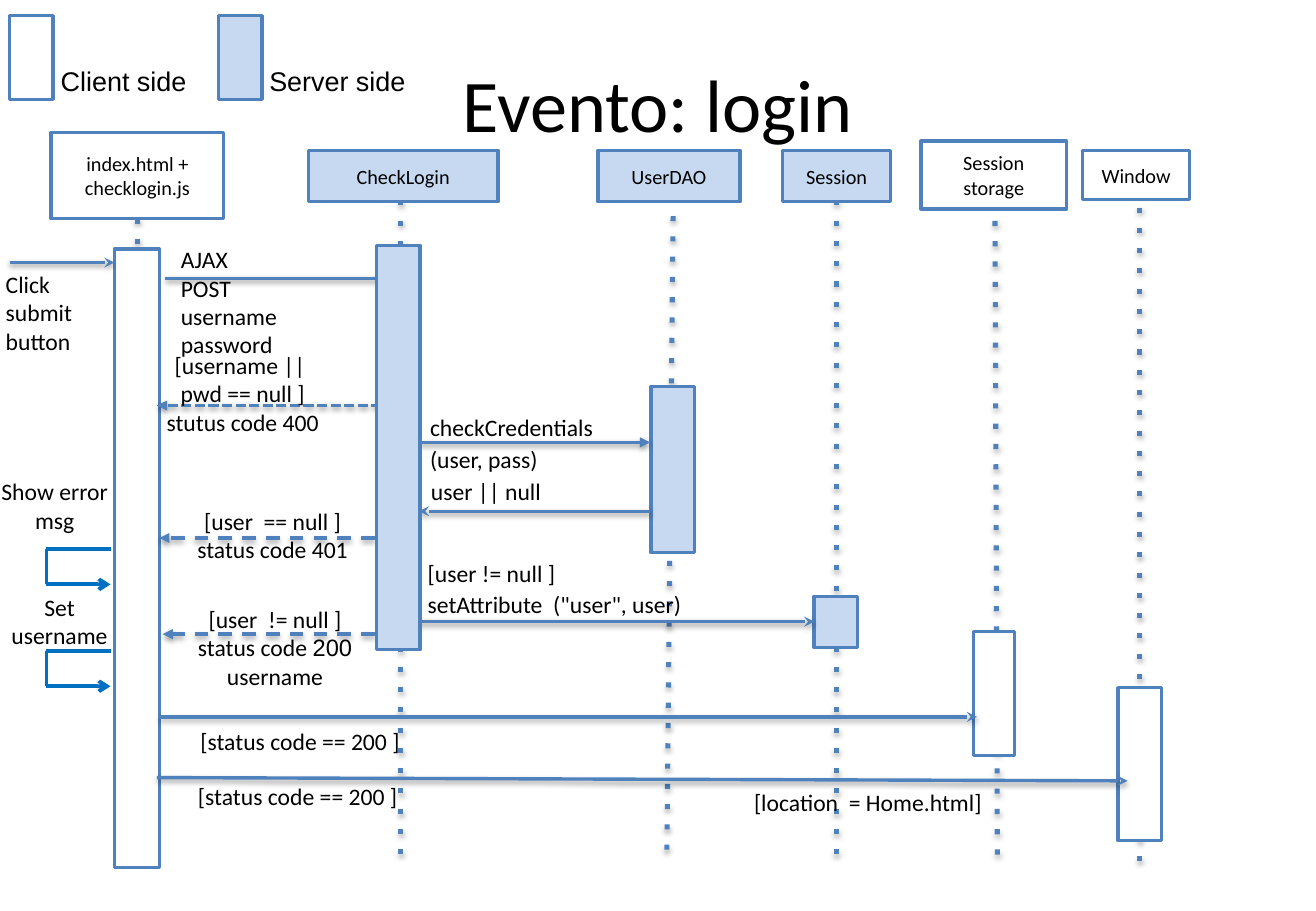
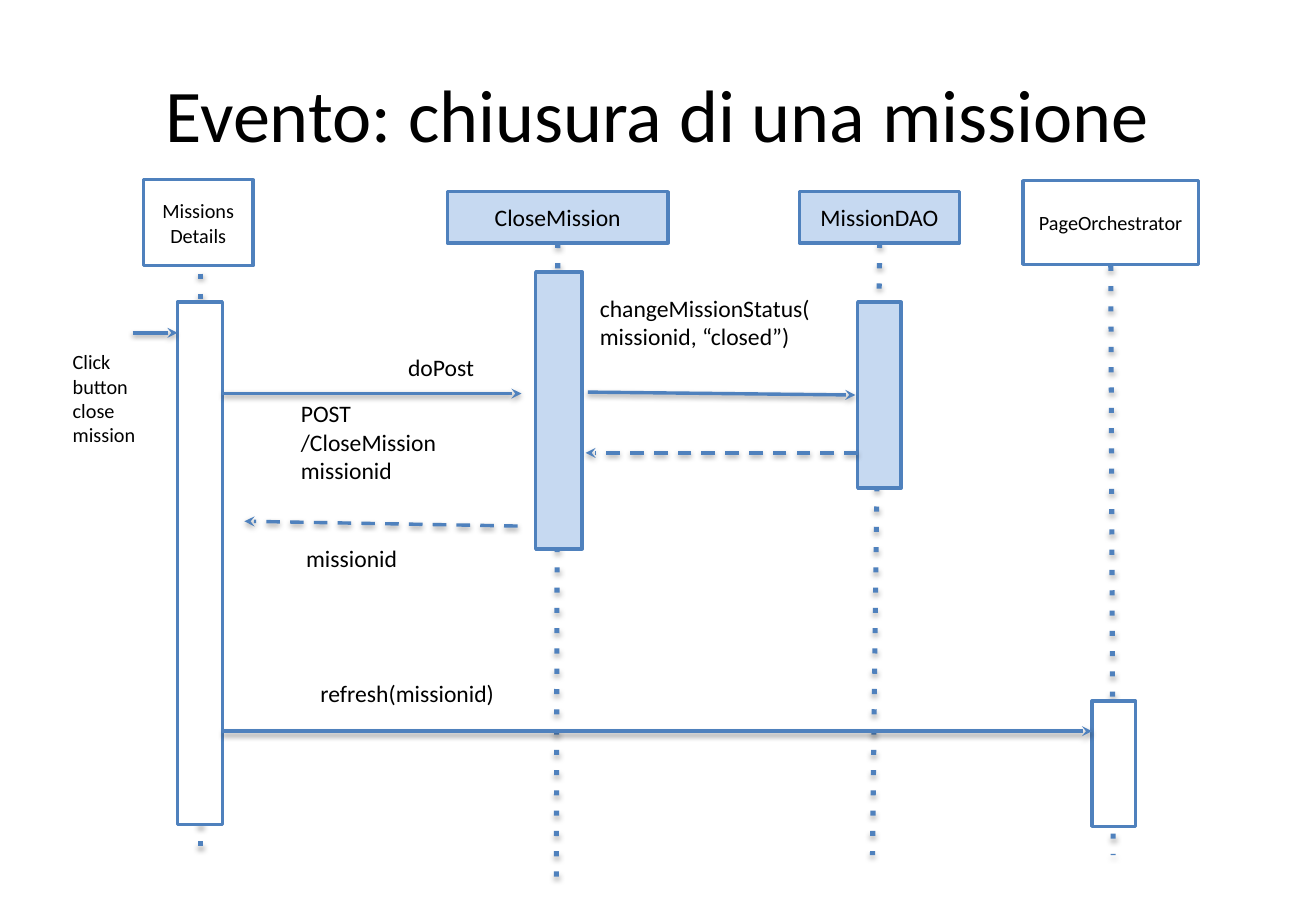
from pptx import Presentation
from pptx import util as u
from pptx.dml.color import RGBColor
from pptx.enum import shapes, text
from pptx.oxml import parse_xml
from pptx.oxml.ns import nsdecls

COLORS = {"line": "4F81BD", "loop": "0070C0", "server": "C6D9F1",
          "client": "FFFFFF", "text": "000000"}
LEFT, CENTER = text.PP_ALIGN.LEFT, text.PP_ALIGN.CENTER


def write_text(frame, paragraphs, size, align=LEFT, font="Calibri", space=0,
               anchor=text.MSO_ANCHOR.TOP, wrap=True):
    """Fill a frame; a paragraph is a string or a list of (text, font) runs."""
    frame.word_wrap = wrap
    frame.vertical_anchor = anchor
    if wrap:
        frame.auto_size = text.MSO_AUTO_SIZE.NONE
        frame.margin_left = frame.margin_right = u.Cm(0.3)
        frame.margin_top = frame.margin_bottom = u.Cm(0.15)
    else:
        frame.auto_size = text.MSO_AUTO_SIZE.SHAPE_TO_FIT_TEXT
    for index, runs in enumerate(paragraphs):
        paragraph = frame.add_paragraph() if index else frame.paragraphs[0]
        paragraph.alignment = align
        paragraph.space_before, paragraph.space_after = u.Pt(0), u.Pt(space)
        for content, run_font in [(runs, font)] if isinstance(runs, str) else runs:
            for part, line in enumerate(content.split("\n")):
                if part:
                    paragraph.add_line_break()
                run = paragraph.add_run()
                run.text = line
                run.font.name, run.font.size = run_font, u.Pt(size)
                run.font.color.rgb = RGBColor.from_string(COLORS["text"])


def add_line(slide, ends, dash="solid", tip=None, color="line", width=2, shadow=None):
    """Draw a straight line; shadow is (distance in EMU, opacity in percent)."""
    connector = slide.shapes.add_connector(
        shapes.MSO_CONNECTOR.STRAIGHT, *[u.Cm(value) for value in ends])
    connector.line.color.rgb = RGBColor.from_string(COLORS[color])
    connector.line.width = u.Pt(width)
    outline = connector.line._get_or_add_ln()
    outline.append(parse_xml(f'<a:prstDash {nsdecls("a")} val="{dash}"/>'))
    if tip:
        outline.append(parse_xml(f'<a:tailEnd {nsdecls("a")} type="{tip}"/>'))
    effect = ""
    if shadow:
        distance, opacity = shadow
        effect = (f'<a:outerShdw blurRad="40000" dist="{distance}" dir="5400000" '
                  f'rotWithShape="0"><a:srgbClr val="000000">'
                  f'<a:alpha val="{opacity}000"/></a:srgbClr></a:outerShdw>')
    connector._element.spPr.append(
        parse_xml(f'<a:effectLst {nsdecls("a")}>{effect}</a:effectLst>'))


# Lifelines and messages: x1, y1, x2, y2 with the arrow tip at the second point
# Bars and heads: left, top, width, height, side; labels: the same box, then text
login = {
    "title": "Evento: login",
    "title_height": 2.79,
    "lifelines": [
        (2.87, 4.57, 2.87, 16.87), (8.38, 4.19, 8.38, 17.86),
        (14.07, 4.52, 13.94, 17.86), (17.48, 4.19, 17.48, 18.11),
        (23.83, 4.34, 23.83, 18.11), (20.8, 4.62, 20.85, 18.11),
    ],
    "bars": [
        (13.61, 8.08, 0.91, 3.48, "server"), (17.02, 12.47, 0.91, 1.07, "server"),
        (23.37, 14.38, 0.91, 3.2, "client"), (2.39, 5.21, 0.94, 12.93, "client"),
        (20.35, 13.21, 0.86, 2.59, "client"),
        # Legend keys
        (0.2, 0.33, 0.91, 1.75, "client"), (4.57, 0.33, 0.91, 1.75, "server"),
    ],
    "messages": [
        ((0.2, 5.49, 2.39, 5.49), "solid", "stealth"),
        ((3.45, 5.82, 8.33, 5.82), "solid", "stealth"),
        ((8.26, 8.48, 3.28, 8.48), "sysDash", "triangle"),
        ((8.76, 9.25, 13.59, 9.25), "solid", "triangle"),
        ((13.59, 10.69, 8.76, 10.69), "solid", "stealth"),
        ((8.33, 11.25, 3.33, 11.25), "dash", "triangle"),
        ((8.48, 13, 17.02, 13), "solid", "stealth"),
        ((8.33, 13.26, 3.4, 13.26), "dash", "triangle"),
        ((3.33, 14.99, 20.42, 14.99), "solid", "stealth"),
        ((3.28, 16.26, 23.57, 16.33), "solid", "stealth"),
    ],
    "loop_tops": [11.48, 13.61],
    "heads": [
        (1.07, 2.77, 3.61, 1.8, "client", "index.html + checklogin.js", 12),
        (6.45, 3.15, 3.96, 1.07, "server", "CheckLogin", 12),
        (12.5, 3.15, 2.97, 1.07, "server", "UserDAO", 12),
        (16.36, 3.15, 2.26, 1.07, "server", "Session", 12),
        (19.25, 2.95, 3.05, 1.42, "client", "Session storage", 12),
        (22.63, 3.15, 2.24, 1.02, "client", "Window", 12),
    ],
    "front_bars": [(7.87, 5.13, 0.91, 8.46, "server")],
    "labels": [
        ((1.02, 1.22, 3.33, 0.94), ["Client side "],
         {"size": 16, "font": "Arial", "wrap": False}),
        ((5.38, 1.22, 3.56, 0.94), ["Server side "],
         {"size": 16, "font": "Arial", "wrap": False}),
        ((-0.18, 5.49, 2.18, 2.74), ["Click", "submit", "button"], {}),
        ((3.48, 4.98, 2.74, 1.73), ["AJAX POST username password"], {}),
        ((3.02, 7.19, 4.11, 1.3),
         ["[username || \npwd == null ]", "stutus code 400"], {"align": CENTER}),
        ((8.69, 8.48, 4.83, 1.35), ["checkCredentials", "(user, pass)"], {"space": 2}),
        ((8.71, 9.83, 3.43, 1.02), ["user || null"], {}),
        ((-0.38, 9.83, 3.05, 1.55), ["Show error msg"], {"align": CENTER}),
        ((3.63, 10.44, 4.14, 1.3),
         ["[user  == null ]", "status code 401"], {"align": CENTER}),
        ((8.64, 11.53, 9.37, 1.6),
         ["[user != null ] ", 'setAttribute  ("user", user)'], {"space": 2}),
        ((-0.28, 12.24, 3.05, 1.55), ["Set username"], {"align": CENTER}),
        ((3.63, 12.5, 4.24, 1.8),
         ["[user  != null ]", [("status code ", "Calibri"), ("200", "Arial")],
          "username"], {"align": CENTER}),
        ((3.43, 15.06, 5.69, 0.94), ["[status code == 200 ]"], {"align": CENTER}),
        ((3.38, 16.21, 5.69, 0.94), ["[status code == 200 ]"], {"align": CENTER}),
        ((14.83, 16.33, 6.63, 0.84), ["[location  = Home.html]"], {"align": CENTER}),
    ],
}

close_mission = {
    "title": "Evento: chiusura di una missione",
    "title_height": 3.18,
    "lifelines": [
        (11.66, 5.08, 11.63, 18.36), (18.39, 5.08, 18.24, 17.88),
        (4.19, 5.72, 4.19, 18.01), (23.22, 5.56, 23.27, 17.88),
    ],
    "bars": [
        (11.2, 5.69, 0.97, 5.79, "server"), (17.93, 6.32, 0.91, 3.89, "server"),
        (3.71, 6.32, 0.94, 10.92, "client"), (22.83, 14.66, 0.91, 2.62, "client"),
    ],
    "messages": [
        ((2.77, 6.96, 3.71, 6.96), "solid", "stealth"),
        ((4.65, 8.23, 10.9, 8.23), "solid", "stealth"),
        ((12.29, 8.2, 17.88, 8.26), "solid", "stealth"),
        ((17.93, 9.47, 12.24, 9.47), "dash", "stealth"),
        ((10.82, 11, 5.11, 10.9), "dash", "stealth"),
        ((4.65, 15.29, 22.83, 15.29), "solid", "stealth"),
    ],
    "loop_tops": [],
    "heads": [
        (3, 3.76, 2.29, 1.8, "client", "Missions Details", 12),
        (9.35, 4.01, 4.62, 1.07, "server", "CloseMission", 14),
        (16.71, 4.01, 3.35, 1.07, "server", "MissionDAO", 14),
        (21.39, 3.78, 3.66, 1.75, "client", "PageOrchestrator", 12),
    ],
    "front_bars": [],
    "labels": [
        ((1.22, 7.16, 2.77, 2.13), ["Click \nbutton ", "close  mission "], {"size": 12}),
        ((8.23, 7.24, 2.74, 1.02), ["doPost"], {}),
        ((12.24, 5.99, 5.38, 1.4), ["changeMissionStatus(missionid, “closed”)"], {}),
        ((5.99, 8.2, 3.61, 2.51), ["POST", "/CloseMission", "missionid"], {}),
        ((6.15, 11.25, 2.44, 0.86), ["missionid"], {"wrap": False}),
        ((6.15, 14.05, 4.62, 1.22), [" refresh(missionid)"], {"align": CENTER}),
    ],
}

presentation = Presentation()
presentation.slide_width, presentation.slide_height = u.Cm(27.51), u.Cm(19.05)

for diagram in (login, close_mission):
    slide = presentation.slides.add_slide(presentation.slide_layouts[5])

    # Title
    title = slide.shapes.title
    title.left, title.top = u.Cm(1.37), u.Cm(0.76)
    title.width, title.height = u.Cm(24.77), u.Cm(diagram["title_height"])
    write_text(title.text_frame, [diagram["title"]], 44, CENTER,
               anchor=text.MSO_ANCHOR.MIDDLE)

    # Lifelines
    for ends in diagram["lifelines"]:
        add_line(slide, ends, "dot", width=3, shadow=(23000, 35))

    # Activation bars and heads, with the messages between back and front
    back = diagram["bars"]
    for box in back + ["messages"] + diagram["heads"] + diagram["front_bars"]:
        if box == "messages":
            for ends, dash, tip in diagram["messages"]:
                add_line(slide, ends, dash, tip, shadow=(20000, 38))
            continue
        left, top, width, height, side, *label = box
        shape = slide.shapes.add_shape(
            shapes.MSO_SHAPE.RECTANGLE, u.Cm(left), u.Cm(top), u.Cm(width), u.Cm(height))
        shape.shadow.inherit = False
        shape.fill.solid()
        shape.fill.fore_color.rgb = RGBColor.from_string(COLORS[side])
        shape.line.color.rgb = RGBColor.from_string(COLORS["line"])
        shape.line.width = u.Pt(2)
        if label:
            write_text(shape.text_frame, [label[0]], label[1], CENTER,
                       anchor=text.MSO_ANCHOR.MIDDLE)

    # Self calls
    for top in diagram["loop_tops"]:
        near, far, bottom = 2.31, 0.97, top + 0.74
        for ends, tip in (((near, top, far, top), None),
                          ((far, top, far, bottom), None),
                          ((far, bottom, near, bottom), "arrow")):
            add_line(slide, ends, tip=tip, color="loop", width=2.25)

    # Labels
    for box, paragraphs, style in diagram["labels"]:
        label = slide.shapes.add_textbox(*[u.Cm(value) for value in box])
        write_text(label.text_frame, paragraphs, **{"size": 14, **style})

presentation.save("out.pptx")
